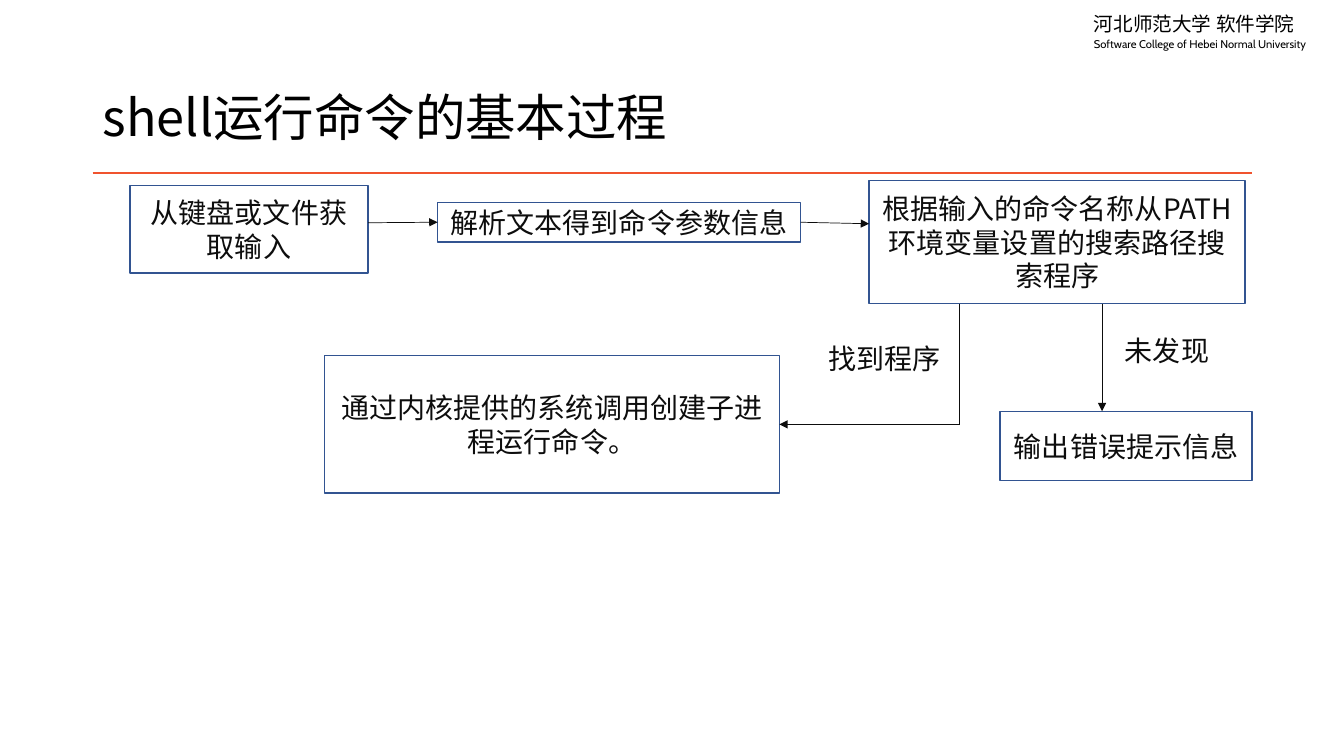
from dataclasses import dataclass

from lxml.etree import SubElement
from pptx import Presentation
from pptx.dml.color import RGBColor
from pptx.enum.shapes import MSO_CONNECTOR, MSO_SHAPE
from pptx.enum.text import MSO_ANCHOR, PP_ALIGN
from pptx.oxml.ns import qn
from pptx.util import Inches, Pt


@dataclass(frozen=True)
class Theme:
    chinese: str = "Noto Sans CJK SC"
    latin: str = "Cabin"
    black: RGBColor = RGBColor.from_string("000000")
    ink: RGBColor = RGBColor.from_string("0D0D0D")
    white: RGBColor = RGBColor.from_string("FFFFFF")
    border: RGBColor = RGBColor.from_string("325491")
    accent: RGBColor = RGBColor.from_string("F0532E")
    title_size: int = 36
    step_size: int = 20
    school_size: int = 14
    caption_size: int = 8


theme = Theme()


def write(para, text, size, color, face=theme.chinese):
    para.text = text
    para.font.size = Pt(size)
    para.font.color.rgb = color
    para.font.name = face
    defaults = para._p.pPr.find(qn("a:defRPr"))
    SubElement(defaults, qn("a:ea"), typeface=face)


def draw_line(page, start, end, color, width, arrow=False):
    line = page.shapes.add_connector(
        MSO_CONNECTOR.STRAIGHT, *[Inches(value) for value in (*start, *end)])
    line.line.color.rgb = color
    line.line.width = Pt(width)
    if arrow:
        SubElement(line.line._get_or_add_ln(), qn("a:tailEnd"), type="triangle")
    SubElement(line._element.spPr, qn("a:effectLst"))
    return line


deck = Presentation()
deck.slide_width, deck.slide_height = Inches(13.33), Inches(7.5)
page = deck.slides.add_slide(deck.slide_layouts[6])

# Header: school name, title and rule
school = page.shapes.add_textbox(
    Inches(10.75), Inches(0.07), Inches(2.49), Inches(0.49)).text_frame
school.word_wrap = True
write(school.paragraphs[0], "河北师范大学 软件学院", theme.school_size, theme.black)
caption = school.add_paragraph()
caption.line_spacing = Pt(10.8)
write(caption, "Software College of Hebei Normal University",
      theme.caption_size, theme.black, theme.latin)

title = page.shapes.add_textbox(
    Inches(0.92), Inches(0.81), Inches(11.5), Inches(0.77)).text_frame
title.word_wrap = True
title.vertical_anchor = MSO_ANCHOR.MIDDLE
title.paragraphs[0].line_spacing = 0.9
write(title.paragraphs[0], "shell运行命令的基本过程", theme.title_size, theme.black)

draw_line(page, (0.92, 1.72), (12.42, 1.72), theme.accent, 1.5)

# Steps and branch labels
steps = {
    "input": ("从键盘或文件获取输入", 1.29, 1.84, 2.36, 0.87, theme.border),
    "parse": ("解析文本得到命令参数信息", 4.34, 2.01, 3.6, 0.39, theme.border),
    "search": ("根据输入的命令名称从PATH环境变量设置的搜索路径搜索程序",
               8.62, 1.79, 3.73, 1.22, theme.border),
    "missing": ("未发现", 11.02, 3.28, 1.11, 0.39, theme.white),
    "error": ("输出错误提示信息", 9.92, 4.08, 2.5, 0.69, theme.border),
    "found": ("找到程序", 8.11, 3.36, 1.32, 0.39, theme.white),
    "run": ("通过内核提供的系统调用创建子进程运行命令。",
            3.22, 3.53, 4.51, 1.36, theme.border),
}
boxes = {}
for name, (text, left, top, width, height, border) in steps.items():
    box = page.shapes.add_shape(
        MSO_SHAPE.RECTANGLE, Inches(left), Inches(top), Inches(width), Inches(height))
    box.shadow.inherit = False
    box.fill.solid()
    box.fill.fore_color.rgb = theme.white
    box.line.color.rgb = border
    box.line.width = Pt(1)
    box.text_frame.word_wrap = True
    box.text_frame.vertical_anchor = MSO_ANCHOR.MIDDLE
    para = box.text_frame.paragraphs[0]
    para.alignment = PP_ALIGN.CENTER
    write(para, text, theme.step_size, theme.ink)
    boxes[name] = box

# Flow lines: start, end, arrowhead, joined start box, joined end box
flows = [
    ((3.65, 2.21), (4.34, 2.21), True, None, ("parse", 1)),
    ((7.94, 2.21), (8.62, 2.22), True, ("parse", 3), None),
    ((9.52, 3.02), (9.52, 4.21), False, None, None),
    ((9.52, 4.21), (7.73, 4.21), True, None, ("run", 3)),
    ((10.93, 3.02), (10.93, 4.08), True, None, None),
]
for start, end, arrow, source, target in flows:
    flow = draw_line(page, start, end, theme.ink, 0.5, arrow)
    if source:
        flow.begin_connect(boxes[source[0]], source[1])
    if target:
        flow.end_connect(boxes[target[0]], target[1])

deck.save("out.pptx")
